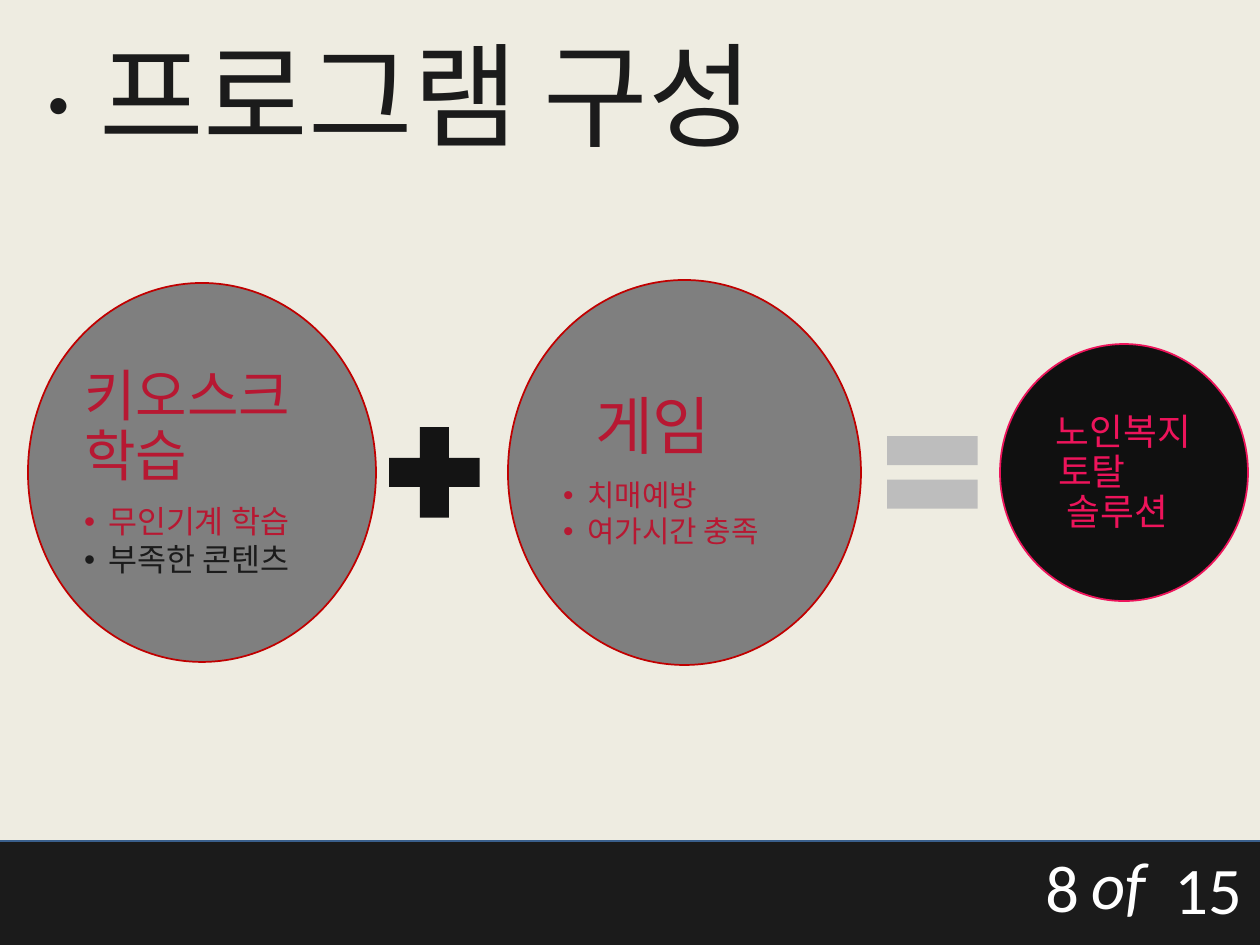
from pptx import Presentation
from pptx import util as u
from pptx.dml.color import RGBColor
from pptx.enum import shapes, text
from pptx.oxml.ns import qn
from lxml import etree

SCALE = 914400 / 126  # EMU per px

THEME = dict(
    back="EEECE1", bar="1B1B1B", edge="3A5F8C", ink="1B1B1B", white="FFFFFF",
    disc="7F7F7F", ring="C00000", red="B71832",
    dark="101010", pink="ED145B", plus="141414", equal="BDBDBD",
    latin="Calibri", korean="Noto Sans CJK KR",
    title=65, page=38, result=21,
)
T = THEME

# Content: boxes are left, top, width, height in px
TITLE = ("· 프로그램 구성", (32, 18, 929, 150))
PAGES = [("8", (1033, 840, 54, 93), False),
         ("of", (1079, 837, 91, 92), True),
         ("15", (1162, 842, 94, 92), False)]
PARTS = [
    dict(disc=(28, 283, 348, 379), box=(79, 339, 246, 268), inset=5,
         head="키오스크 학습", size=32, shift=0, small=18,
         items=[("무인기계 학습", "red"), ("부족한 콘텐츠", "ink")]),
    dict(disc=(508, 280, 353, 385), box=(559, 336, 249, 272), inset=4,
         head="게임", size=36, shift=32, small=17,
         items=[("치매예방", "red"), ("여가시간 충족", "red")]),
]
SIGNS = [("MATH_PLUS", (373, 411, 123, 123), "plus"),
         ("MATH_EQUAL", (871, 411, 123, 123), "equal")]
RESULT = dict(disc=(1000, 344, 248, 257), box=(1037, 382, 175, 183), inset=4,
              lines=[("노인복지", 15), ("토탈", 17), ("솔루션", 26)])


def px(n):
    return u.Emu(round(n * SCALE))


def place(item, box):
    item.left, item.top, item.width, item.height = map(px, box)


def paint(kind, box, fill, line=None):
    form = slide.shapes.add_shape(getattr(shapes.MSO_SHAPE, kind), *map(px, box))
    form.shadow.inherit = False
    form.fill.solid()
    form.fill.fore_color.rgb = RGBColor.from_string(T[fill])
    if line:
        form.line.color.rgb = RGBColor.from_string(T[line])
        form.line.width = u.Pt(1)
    else:
        form.line.fill.background()


def setup(item, inset=None, wrap=True, middle=False):
    frame = item.text_frame
    frame.word_wrap = wrap
    frame.auto_size = text.MSO_AUTO_SIZE.NONE
    frame.vertical_anchor = text.MSO_ANCHOR.MIDDLE if middle else text.MSO_ANCHOR.TOP
    if inset is not None:
        for side in ("left", "top", "right", "bottom"):
            setattr(frame, "margin_" + side, px(inset))
    return frame


def write(frame, words, size, color, font="latin", italic=False, first=False,
          left=0, hang=0, bullet=False, spacing=1, after=0):
    para = frame.paragraphs[0] if first else frame.add_paragraph()
    para.alignment = text.PP_ALIGN.LEFT
    para.line_spacing = spacing
    para.space_before, para.space_after = u.Pt(0), u.Pt(after)
    props = para._p.get_or_add_pPr()
    props.set("marL", str(px(left)))
    props.set("indent", str(px(-hang)))
    if bullet:
        etree.SubElement(props, qn("a:buChar"), char="•")
    else:
        etree.SubElement(props, qn("a:buNone"))
    run = para.add_run()
    run.text = words
    run.font.size, run.font.name, run.font.italic = u.Pt(size), T[font], italic
    run.font.color.rgb = RGBColor.from_string(T[color])
    # East Asian face sets the Korean line height
    etree.SubElement(run._r.get_or_add_rPr(), qn("a:ea"), typeface=T["latin"])


deck = Presentation()
deck.slide_width, deck.slide_height = px(1260), px(945)
slide = deck.slides.add_slide(deck.slide_layouts[3])
slide.background.fill.solid()
slide.background.fill.fore_color.rgb = RGBColor.from_string(T["back"])

# Footer bar and page count
paint("RECTANGLE", (-4, 841, 1265, 105), "bar", "edge")
for words, box, slant in PAGES:
    note = slide.shapes.add_textbox(*map(px, box))
    write(setup(note, wrap=False), words, T["page"], "white",
          italic=slant, first=True)

# Title
title = slide.shapes.title
place(title, TITLE[1])
write(setup(title), TITLE[0], T["title"], "ink", first=True)

# Two parts: disc, then heading and list on top of it
for part, body in zip(PARTS, list(slide.placeholders)[1:]):
    paint("OVAL", part["disc"], "disc", "ring")
    place(body, part["box"])
    slide.shapes._spTree.append(body._element)
    frame = setup(body, part["inset"], middle=True)
    write(frame, part["head"], part["size"], "red", "korean", first=True,
          left=part["shift"], spacing=0.9, after=10)
    for words, color in part["items"]:
        write(frame, words, part["small"], color, "korean", left=24, hang=24,
              bullet=True, spacing=0.9, after=2)

# Plus and equals signs
for kind, box, fill in SIGNS:
    paint(kind, box, fill)

# Result
paint("OVAL", RESULT["disc"], "dark", "pink")
label = slide.shapes.add_textbox(*map(px, RESULT["box"]))
frame = setup(label, RESULT["inset"], middle=True)
for row, (words, left) in enumerate(RESULT["lines"]):
    write(frame, words, T["result"], "pink", "korean", first=row == 0,
          left=left, spacing=0.9)

deck.save("out.pptx")
